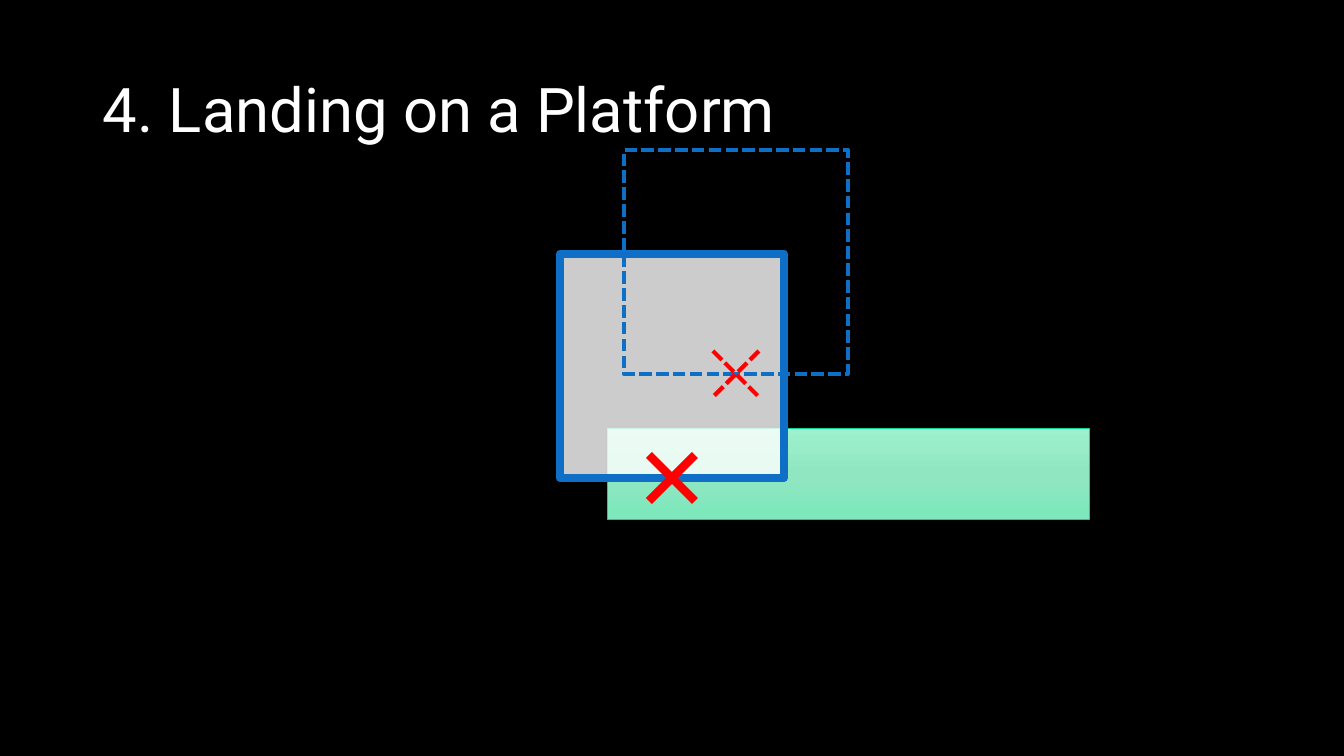
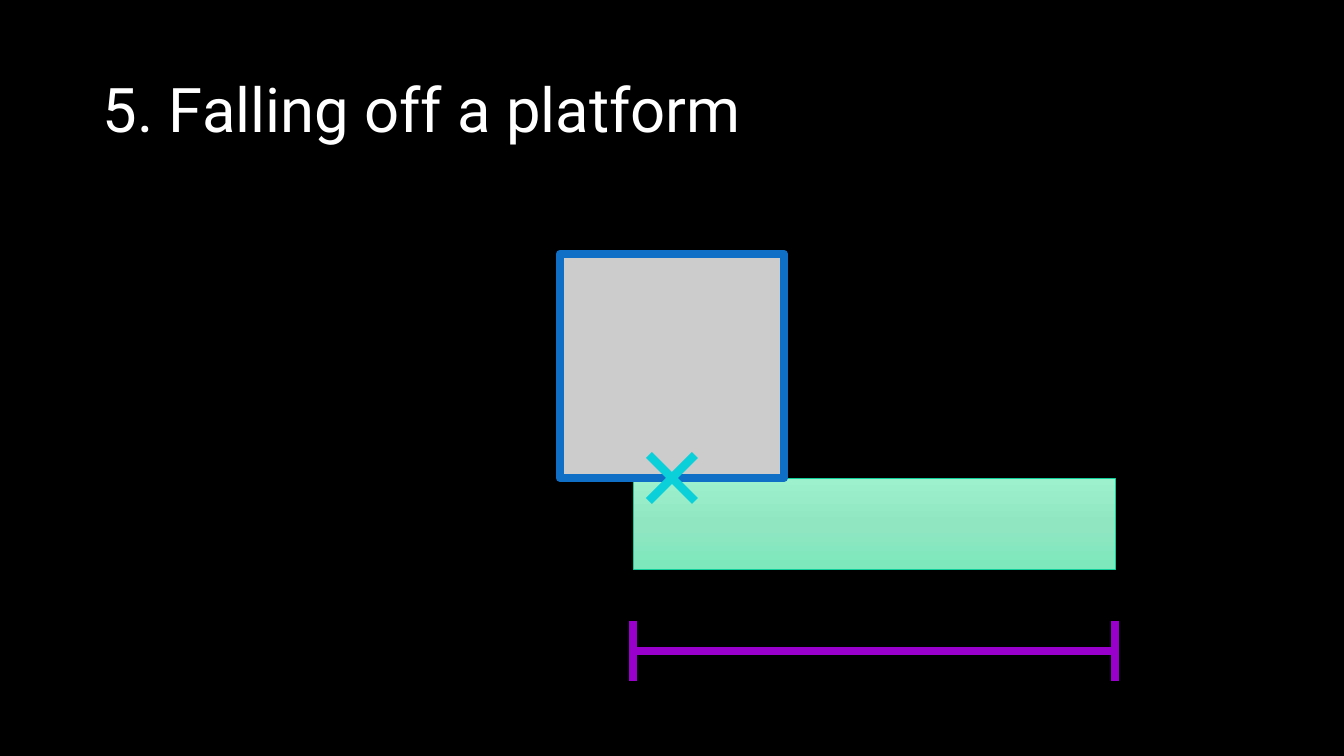
import copy
from dataclasses import dataclass
from typing import Any, Optional

import lxml.etree
import pptx
import pptx.dml.color
import pptx.enum.dml
import pptx.enum.shapes
import pptx.enum.text
import pptx.oxml.ns
import pptx.util

RGBColor = pptx.dml.color.RGBColor
qn = pptx.oxml.ns.qn
RECTANGLE = pptx.enum.shapes.MSO_SHAPE.RECTANGLE
SYSTEM_DASH = pptx.enum.dml.MSO_LINE.SQUARE_DOT

# Shared look
PIXEL = 914400 / 100.8
BLACK = RGBColor(0x00, 0x00, 0x00)
WHITE = RGBColor(0xFF, 0xFF, 0xFF)
BLUE = RGBColor(0x0F, 0x6F, 0xC6)
RED = RGBColor(0xFF, 0x00, 0x00)
CYAN = RGBColor(0x0B, 0xD0, 0xD9)
PURPLE = RGBColor(0x99, 0x00, 0xCC)
GREEN = RGBColor(0x10, 0xCF, 0x9B)
MINT_STOPS = (
    (0.0, RGBColor(0x9E, 0xF1, 0xCD)),
    (0.5, RGBColor(0x91, 0xE6, 0xC2)),
    (1.0, RGBColor(0x7C, 0xE8, 0xBC)),
)
FONT = "Roboto"
PLAYER_SIDE = 224
CROSS_REACH = 23
PLATFORM_WIDTH, PLATFORM_HEIGHT = 482, 91
TICK_REACH = 30


@dataclass(frozen=True)
class Stroke:
    color: RGBColor
    points: float
    dashed: bool = False


@dataclass(frozen=True)
class Player:
    left: int
    top: int
    cross_color: RGBColor
    ghost: bool = False


@dataclass(frozen=True)
class Platform:
    left: int
    top: int


@dataclass(frozen=True)
class Scene:
    title: str
    platform: Platform
    players: tuple[Player, ...]
    span_height: Optional[int] = None


SCENES = (
    Scene(
        "4. Landing on a Platform",
        Platform(607, 428),
        (Player(560, 254, RED), Player(624, 150, RED, ghost=True)),
    ),
    Scene(
        "5. Falling off a platform",
        Platform(633, 478),
        (Player(560, 254, CYAN),),
        span_height=651,
    ),
)


def px(pixels: float) -> pptx.util.Emu:
    return pptx.util.Emu(round(pixels * PIXEL))


# Basic parts
def apply_stroke(line: Any, stroke: Stroke) -> None:
    line.color.rgb = stroke.color
    line.width = pptx.util.Pt(stroke.points)
    if stroke.dashed:
        line.dash_style = SYSTEM_DASH


def add_text(page: Any, text: str, *, left: int, top: int, width: int, height: int,
             size: float, color: RGBColor, line_spacing: float = 1.0) -> None:
    box = page.shapes.add_textbox(px(left), px(top), px(width), px(height))
    frame = box.text_frame
    frame.word_wrap = True
    frame.vertical_anchor = pptx.enum.text.MSO_ANCHOR.MIDDLE
    para = frame.paragraphs[0]
    para.line_spacing = line_spacing
    span = para.add_run()
    span.text = text
    span.font.name = FONT
    span.font.size = pptx.util.Pt(size)
    span.font.color.rgb = color


def add_rectangle(shapes: Any, left: int, top: int, width: int, height: int,
                  stroke: Stroke) -> Any:
    box = shapes.add_shape(RECTANGLE, px(left), px(top), px(width), px(height))
    box.shadow.inherit = False
    apply_stroke(box.line, stroke)
    return box


def add_line(shapes: Any, start: tuple[int, int], end: tuple[int, int],
             stroke: Stroke) -> None:
    line = shapes.add_connector(
        pptx.enum.shapes.MSO_CONNECTOR.STRAIGHT,
        px(start[0]), px(start[1]), px(end[0]), px(end[1]),
    )
    apply_stroke(line.line, stroke)
    lxml.etree.SubElement(line.element.spPr, qn("a:effectLst"))


# Game pieces
def draw_platform(page: Any, platform: Platform) -> None:
    box = add_rectangle(page.shapes, platform.left, platform.top,
                        PLATFORM_WIDTH, PLATFORM_HEIGHT, Stroke(GREEN, 0.5))
    box.fill.gradient()
    box.fill.gradient_angle = 270
    stop_list = box.element.spPr.find(".//" + qn("a:gsLst"))
    stop_list.insert(1, copy.deepcopy(stop_list[0]))
    for stop, (position, color) in zip(box.fill.gradient_stops, MINT_STOPS):
        stop.position = position
        stop.color.rgb = color


def draw_player(page: Any, player: Player) -> None:
    points = 3 if player.ghost else 6
    group = page.shapes.add_group_shape()
    body = add_rectangle(group.shapes, player.left, player.top, PLAYER_SIDE, PLAYER_SIDE,
                         Stroke(BLUE, points, player.ghost))
    if player.ghost:
        body.fill.background()
    else:
        body.fill.solid()
        body.fill.fore_color.rgb = WHITE
        fill_color = body.element.spPr.find(qn("a:solidFill"))[0]
        lxml.etree.SubElement(fill_color, qn("a:alpha"), val="80000")

    # The cross marks the middle of the bottom edge
    center, bottom = player.left + PLAYER_SIDE // 2, player.top + PLAYER_SIDE
    for reach in (CROSS_REACH, -CROSS_REACH):
        add_line(group.shapes, (center - reach, bottom - CROSS_REACH),
                 (center + reach, bottom + CROSS_REACH),
                 Stroke(player.cross_color, points, player.ghost))


def draw_span(page: Any, platform: Platform, height: int) -> None:
    stroke = Stroke(PURPLE, 6)
    ends = (platform.left, platform.left + PLATFORM_WIDTH)
    for end in ends:
        add_line(page.shapes, (end, height - TICK_REACH), (end, height + TICK_REACH), stroke)
    add_line(page.shapes, (ends[0], height), (ends[1], height), stroke)


def draw_scene(deck: Any, scene: Scene) -> None:
    page = deck.slides.add_slide(deck.slide_layouts[6])
    add_text(page, scene.title, left=93, top=40, width=1159, height=146,
             size=44, color=WHITE, line_spacing=0.9)
    draw_platform(page, scene.platform)
    for player in scene.players:
        draw_player(page, player)
    if scene.span_height is not None:
        draw_span(page, scene.platform, scene.span_height)


# Deck
deck = pptx.Presentation()
deck.slide_width, deck.slide_height = px(1344), px(756)
backdrop = deck.slide_master.background.fill
backdrop.solid()
backdrop.fore_color.rgb = BLACK
for scene in SCENES:
    draw_scene(deck, scene)
deck.save("out.pptx")
